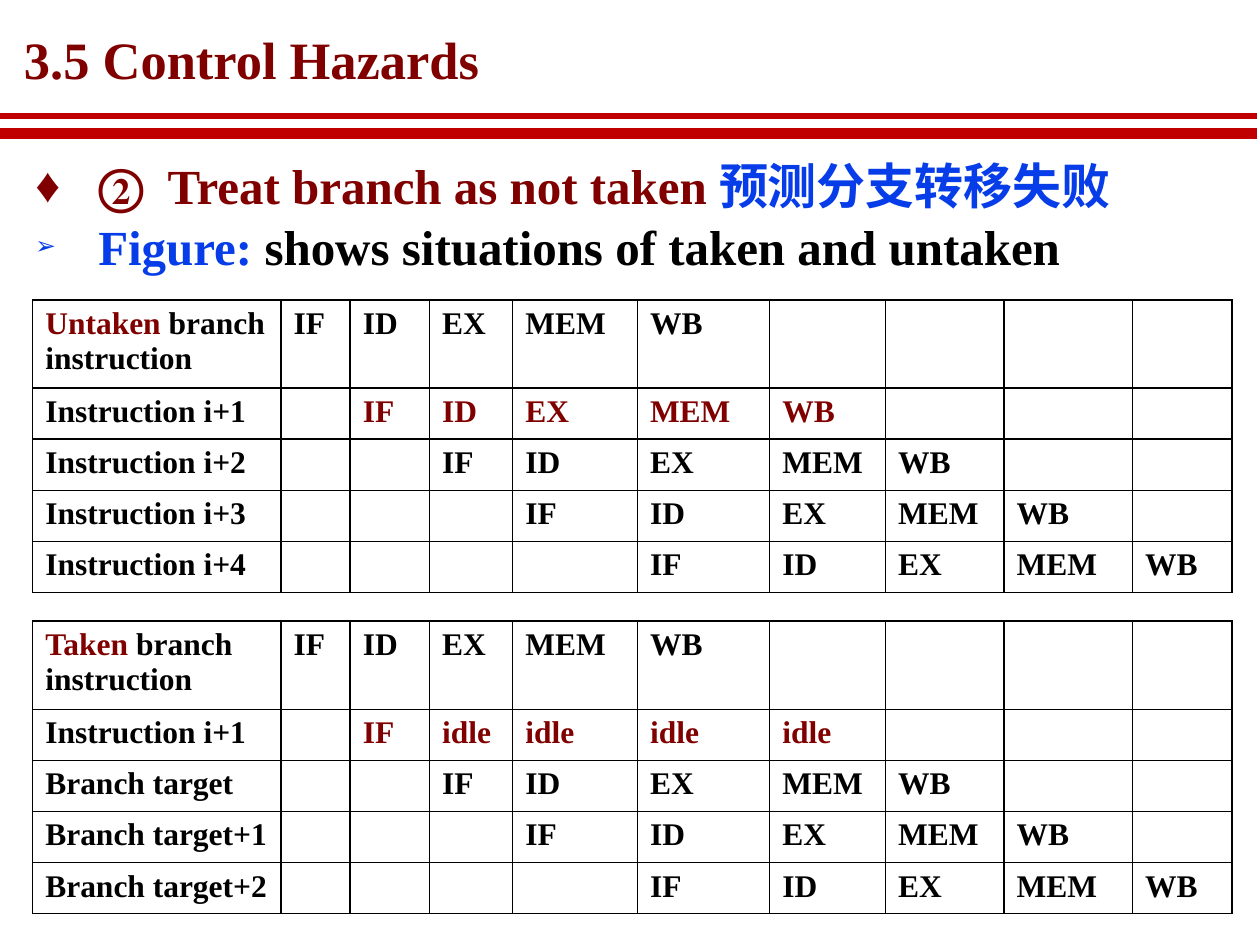
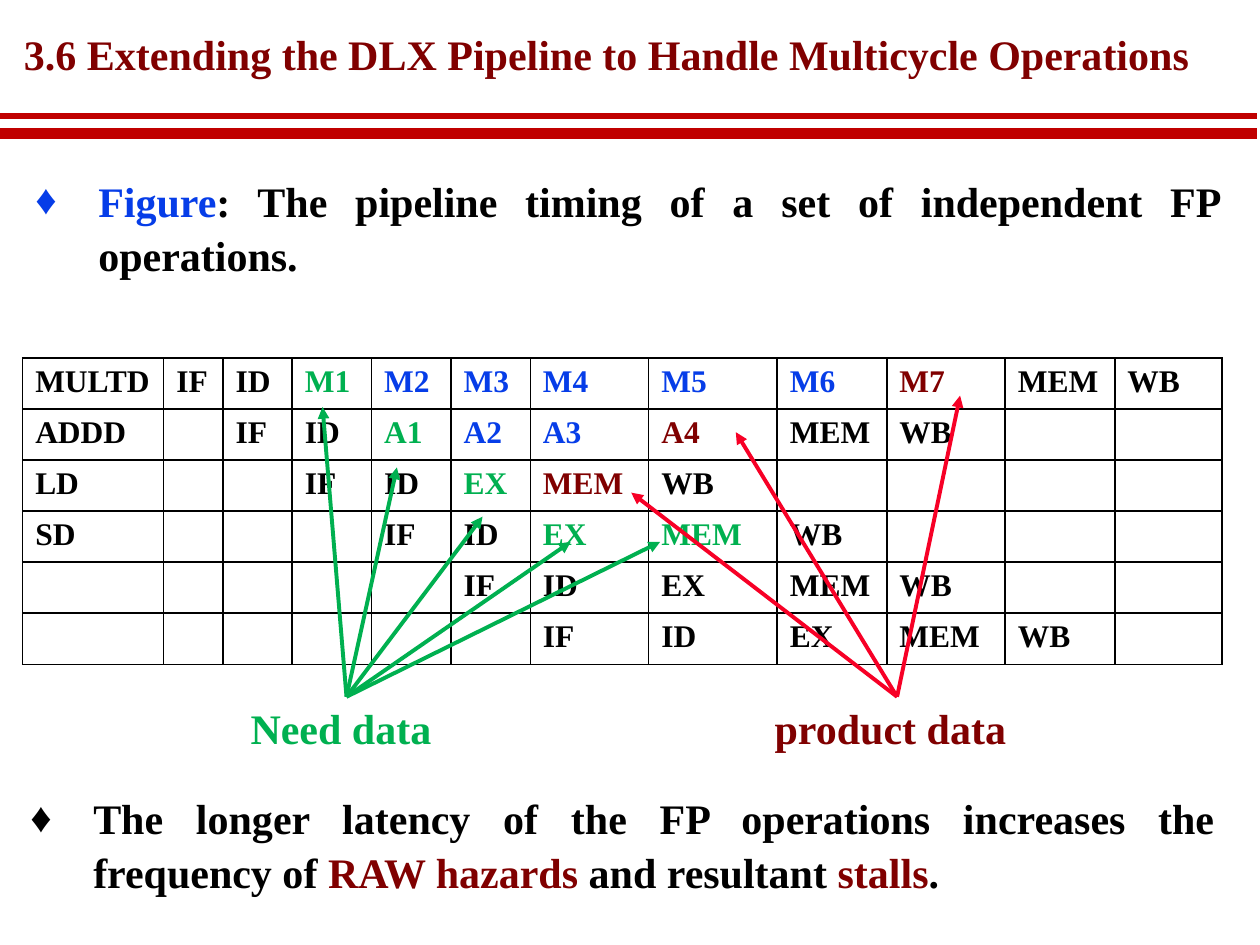
from lxml import etree
from pptx import Presentation
from pptx.dml.color import RGBColor
from pptx.enum.shapes import MSO_CONNECTOR
from pptx.enum.text import MSO_ANCHOR, MSO_AUTO_SIZE, PP_ALIGN
from pptx.oxml.ns import qn
from pptx.util import Inches, Pt

BLACK = RGBColor(0, 0, 0)
MAROON = RGBColor(0x80, 0, 0)
BLUE = RGBColor(0x06, 0x3D, 0xE8)
GREEN = RGBColor(0, 0xB0, 0x50)
RED = RGBColor(0xF7, 0, 0x26)
BAND = RGBColor(0xC0, 0, 0)
INK = {"K": BLACK, "M": MAROON, "B": BLUE, "G": GREEN}

STRAIGHT = MSO_CONNECTOR.STRAIGHT
LEFT, JUSTIFY = PP_ALIGN.LEFT, PP_ALIGN.JUSTIFY
TOP, NONE = MSO_ANCHOR.TOP, MSO_AUTO_SIZE.NONE

FONT = "Times New Roman"
WIDE, HIGH = Inches(10), Inches(7.5)
COL, ROW = WIDE / 100, HIGH / 75
LINE = 4.05
STAGES = "IF ID EX MEM WB"


def cols(count):
    """Turn grid columns into a length."""
    return round(count * COL)


def rows(count):
    """Turn grid rows into a length."""
    return round(count * ROW)


def place(shape, box):
    """Move a shape to a box of columns and rows."""
    x, y, w, h = box
    shape.left, shape.top = cols(x), rows(y)
    shape.width, shape.height = cols(w), rows(h)


def write(para, runs, size):
    """Add runs of text, colour and optional letter gap."""
    for text, ink, *gap in runs:
        run = para.add_run()
        run.text = text
        font = run.font
        font.name, font.size, font.bold = FONT, Pt(size), True
        font.color.rgb = ink
        if gap:
            run._r.get_or_add_rPr().set("spc", str(gap[0] * 100))


def child(parent, tag, **attrs):
    """Append one drawing element."""
    return etree.SubElement(parent, qn(tag), attrs)


def draw(slide, start, end, ink, width, arrow=False):
    """Draw a line between two grid points."""
    line = slide.shapes.add_connector(
        STRAIGHT, cols(start[0]), rows(start[1]), cols(end[0]), rows(end[1]))
    line.line.color.rgb = ink
    line.line.width = Pt(width)
    if arrow:
        child(line.line._get_or_add_ln(), "a:tailEnd", type="triangle")
    child(line._element.spPr, "a:effectLst")


def head(slide, text, size, box):
    """Set the title and the double band below it."""
    title = slide.shapes.title
    place(title, box)
    frame = title.text_frame
    frame.auto_size, frame.word_wrap = NONE, False
    frame.vertical_anchor = TOP
    frame.margin_left = frame.margin_right = Inches(0.07)
    frame.margin_top = frame.margin_bottom = Inches(0.03)
    para = frame.paragraphs[0]
    para.alignment, para.line_spacing = LEFT, 0.87
    write(para, [(text, MAROON)], size)
    for y, width in ((10.6, 6), (9.2, 3)):
        draw(slide, (-0.2, y), (99.8, y), BAND, width)


def points(body, box, items, size, pitch, after=0):
    """Fill a body placeholder with justified bullets."""
    place(body, box)
    frame = body.text_frame
    frame.auto_size, frame.word_wrap = NONE, True
    frame.vertical_anchor = TOP
    for i, (mark, scale, runs) in enumerate(items):
        para = frame.add_paragraph() if i else frame.paragraphs[0]
        props = para._p.get_or_add_pPr()
        props.set("marL", str(Inches(0.5)))
        props.set("indent", str(-Inches(0.5)))
        child(props, "a:buSzPct", val=str(scale * 1000))
        child(props, "a:buFont", typeface="Arial")
        child(props, "a:buChar", char=mark)
        para.alignment = JUSTIFY
        para.line_spacing = Pt(pitch)
        para.space_before, para.space_after = Pt(0), Pt(after)
        write(para, runs, size)


def edge(cell):
    """Give a cell thin black borders and no fill."""
    props = cell._tc.get_or_add_tcPr()
    for side in ("a:lnL", "a:lnR", "a:lnT", "a:lnB"):
        line = child(props, side, w=str(Pt(1)))
        child(child(line, "a:solidFill"), "a:srgbClr", val=str(BLACK))
    cell.fill.background()


def timing(slide, x, y, widths, lines, first=LINE):
    """Draw a pipeline table whose rows start at given columns."""
    heights = [first] + [LINE] * (len(lines) - 1)
    shape = slide.shapes.add_table(
        len(lines), len(widths), cols(x), rows(y),
        cols(sum(widths)), rows(sum(heights)))
    table = shape.table
    table.first_row = table.horz_banding = False
    for part, width in zip(table.columns, widths):
        part.width = cols(width)
    for part, height in zip(table.rows, heights):
        part.height = rows(height)
    for r, (label, start, stages, inks) in enumerate(lines):
        for c in range(len(widths)):
            edge(table.cell(r, c))
        write(table.cell(r, 0).text_frame.paragraphs[0], label, 18)
        for c, (stage, ink) in enumerate(zip(stages.split(), inks), start):
            para = table.cell(r, c).text_frame.paragraphs[0]
            write(para, [(stage, INK[ink])], 18)


def branch(slide, x, y, kind, names, second, inks):
    """Draw the table of one branch outcome."""
    widths = (19.7, 5.5, 6.3, 6.6, 9.9, 10.5, 9.2, 9.4, 10.2, 7.9)
    lines = [([(kind, MAROON), (" branch instruction", BLACK)], 1, STAGES, "KKKKK")]
    for i, name in enumerate(names, 2):
        stages, shade = (second, inks) if i == 2 else (STAGES, "KKKKK")
        lines.append(([(name, BLACK)], i, stages, shade))
    timing(slide, x, y, widths, lines, 7)


def fan(slide, x, y, root, tips, ink):
    """Draw arrows from one root to many tips."""
    for dx, dy in tips:
        draw(slide, (x + root[0], y + root[1]), (x + dx, y + dy), ink, 2.25, True)


def label(slide, box, text, ink):
    """Add a caption under a fan."""
    note = slide.shapes.add_textbox(0, 0, 0, 0)
    place(note, box)
    note.text_frame.word_wrap = True
    write(note.text_frame.paragraphs[0], [(text, ink)], 24)


def figure(slide, x, y):
    """Draw the floating point table with its data arrows."""
    widths = (11.2, 4.7, 5.5, 6.3, 6.3, 6.3, 9.4, 10.2, 8.7, 9.4, 8.7, 8.5)
    lines = (
        ("MULTD", 1, "IF ID M1 M2 M3 M4 M5 M6 M7 MEM WB", "KKGBBBBBMKK"),
        ("ADDD", 2, "IF ID A1 A2 A3 A4 MEM WB", "KKGBBMKK"),
        ("LD", 3, STAGES, "KKGMK"),
        ("SD", 4, STAGES, "KKGGK"),
        ("", 5, STAGES, "KKKKK"),
        ("", 6, STAGES, "KKKKK"),
    )
    timing(slide, x, y, widths,
           [([(name, BLACK)] if name else [], *rest) for name, *rest in lines])
    base = 26.9
    label(slide, (x + 17.1, y + base, 17.4, 5), "Need data", GREEN)
    label(slide, (x + 58.7, y + base, 21.4, 5), "product data", MAROON)
    needs = ((23.8, 3.9), (29.7, 8.7), (36.5, 12.6), (43.5, 14.6), (50.6, 14.6))
    fan(slide, x, y, (25.7, base), needs, GREEN)
    fan(slide, x, y, (69.4, base), ((48.3, 10.7), (56.6, 5.9), (74.4, 3)), RED)


def hazards(deck):
    """Build the slide on control hazards."""
    slide = deck.slides.add_slide(deck.slide_layouts[1])
    head(slide, "3.5 Control Hazards", 30, (1.2, 2.5, 38, 5))
    points(slide.placeholders[1], (1.8, 12.5, 96, 10), (
        ("♦", 100, [("②", MAROON, 7), (" Treat branch as not taken ", MAROON),
                    ("预测分支转移失败", BLUE)]),
        ("➢", 50, [("Figure: ", BLUE),
                   ("shows situations of taken and untaken", BLACK)]),
    ), 28, 29, 6)
    branch(slide, 2.6, 23.8, "Untaken",
           [f"Instruction i+{i}" for i in range(1, 5)], STAGES, "MMMMM")
    branch(slide, 2.6, 49.3, "Taken",
           ("Instruction i+1", "Branch target", "Branch target+1", "Branch target+2"),
           "IF idle idle idle idle", "MMMMM")


def extend(deck):
    """Build the slide on multicycle operations."""
    slide = deck.slides.add_slide(deck.slide_layouts[3])
    head(slide, "3.6 Extending the DLX Pipeline to Handle Multicycle Operations",
         24, (1.2, 2.5, 94.8, 4.1))
    points(slide.placeholders[1], (1.8, 13.1, 96, 9.4), [("♦", 100, [
        ("Figure", BLUE),
        (": The pipeline timing of a set of independent FP operations.", BLACK),
    ])], 24, 31)
    figure(slide, 1.8, 28.4)
    points(slide.placeholders[2], (1.4, 62.1, 96, 9.7), [("♦", 100, [
        ("The longer latency of the FP operations increases the frequency of ", BLACK),
        ("RAW hazards ", MAROON), ("and resultant ", BLACK),
        ("stalls", MAROON), (".", BLACK),
    ])], 24, 31)


def main():
    """Build and save the deck."""
    deck = Presentation()
    deck.slide_width, deck.slide_height = WIDE, HIGH
    hazards(deck)
    extend(deck)
    deck.save("out.pptx")


if __name__ == "__main__":
    main()
